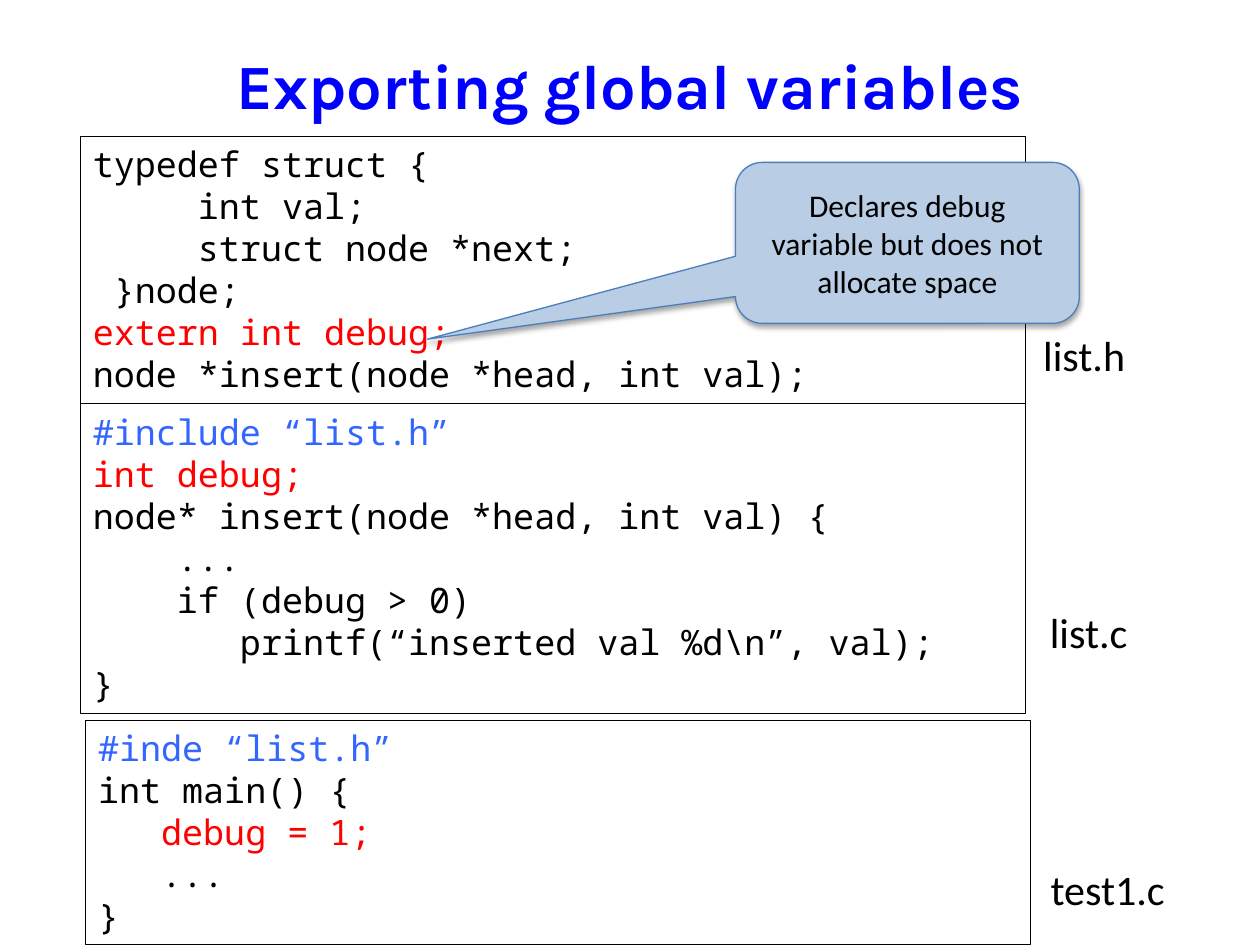
import dataclasses

import lxml.etree
import pptx
import pptx.dml.color
import pptx.enum.shapes
import pptx.enum.text
import pptx.oxml
import pptx.oxml.ns
import pptx.slide
import pptx.text.text
import pptx.util

Pt = pptx.util.Pt
RGBColor = pptx.dml.color.RGBColor
MSO_SHAPE = pptx.enum.shapes.MSO_SHAPE
MSO_ANCHOR = pptx.enum.text.MSO_ANCHOR
MSO_AUTO_SIZE = pptx.enum.text.MSO_AUTO_SIZE
PP_ALIGN = pptx.enum.text.PP_ALIGN

BLACK = RGBColor(0x00, 0x00, 0x00)
RED = RGBColor(0xFF, 0x00, 0x00)
TITLE_BLUE = RGBColor(0x00, 0x00, 0xFF)
INCLUDE_BLUE = RGBColor(0x33, 0x66, 0xFF)
CALLOUT_FILL = RGBColor(0xB9, 0xCD, 0xE5)
CALLOUT_LINE = RGBColor(0x4B, 0x7E, 0xBC)

CODE_FONT = "Noto Sans Mono"
TEXT_FONT = "Calibri"
CODE_WIDTH = 540
LABEL_HEIGHT = 36

CALLOUT_SHADOW = (
    f'<a:effectLst {pptx.oxml.ns.nsdecls("a")}>'
    '<a:outerShdw blurRad="39370" dist="22860" dir="5400000" rotWithShape="0">'
    '<a:srgbClr val="000000"><a:alpha val="35000"/></a:srgbClr>'
    "</a:outerShdw></a:effectLst>"
)


@dataclasses.dataclass(frozen=True)
class CodeLine:
    text: str
    color: RGBColor = BLACK


@dataclasses.dataclass(frozen=True)
class SourceFile:
    name: str
    left: float
    top: float
    height: float
    label_left: float
    label_top: float
    label_width: float
    lines: tuple[CodeLine, ...]


SOURCE_FILES = (
    SourceFile("list.h", 46, 78, 152.6, 589, 185, 62, (
        CodeLine("typedef struct {"),
        CodeLine("     int val;"),
        CodeLine("     struct node *next;"),
        CodeLine(" }node;"),
        CodeLine("extern int debug;", RED),
        CodeLine("node *insert(node *head, int val);"),
    )),
    SourceFile("list.c", 46, 230.8, 177, 592.8, 342.8, 60, (
        CodeLine("#include “list.h”", INCLUDE_BLUE),
        CodeLine("int debug;", RED),
        CodeLine("node* insert(node *head, int val) {"),
        CodeLine("    ..."),
        CodeLine("    if (debug > 0)"),
        CodeLine("       printf(“inserted val %d\\n”, val);"),
        CodeLine("}"),
    )),
    SourceFile("test1.c", 49, 411.8, 128, 593.3, 489.8, 81, (
        CodeLine("#inde “list.h”", INCLUDE_BLUE),
        CodeLine("int main() {"),
        CodeLine("   debug = 1;", RED),
        CodeLine("   ..."),
        CodeLine("}"),
    )),
)


def format_runs(paragraph: pptx.text.text._Paragraph, font: str, size: float,
                color: RGBColor, bold: bool = False) -> None:
    for run in paragraph.runs:
        run.font.name = font
        run.font.size = Pt(size)
        run.font.bold = bold
        run.font.color.rgb = color


def draw_title(slide: pptx.slide.Slide, text: str) -> None:
    title = slide.shapes.title
    title.left, title.top, title.width, title.height = Pt(36), Pt(3), Pt(648), Pt(90)
    title.text_frame.text = text
    title.text_frame.vertical_anchor = MSO_ANCHOR.MIDDLE
    heading = title.text_frame.paragraphs[0]
    heading.alignment = PP_ALIGN.CENTER
    format_runs(heading, "Karla", 36, TITLE_BLUE, bold=True)


def draw_code(slide: pptx.slide.Slide, source: SourceFile) -> None:
    box = slide.shapes.add_shape(MSO_SHAPE.RECTANGLE, Pt(source.left), Pt(source.top),
                                 Pt(CODE_WIDTH), Pt(source.height))
    box.shadow.inherit = False
    box.fill.background()
    box.line.color.rgb = BLACK
    box.line.width = Pt(0.75)
    code = box.text_frame
    code.word_wrap = True
    code.auto_size = MSO_AUTO_SIZE.SHAPE_TO_FIT_TEXT
    code.vertical_anchor = MSO_ANCHOR.TOP
    code.text = "\n".join(line.text for line in source.lines)
    for paragraph, line in zip(code.paragraphs, source.lines):
        paragraph.alignment = PP_ALIGN.LEFT
        format_runs(paragraph, CODE_FONT, 20, line.color)


def draw_file_name(slide: pptx.slide.Slide, source: SourceFile) -> None:
    label = slide.shapes.add_textbox(Pt(source.label_left), Pt(source.label_top),
                                     Pt(source.label_width), Pt(LABEL_HEIGHT))
    label.text_frame.word_wrap = False
    label.text_frame.auto_size = MSO_AUTO_SIZE.SHAPE_TO_FIT_TEXT
    label.text_frame.text = source.name
    format_runs(label.text_frame.paragraphs[0], TEXT_FONT, 24, BLACK)


def draw_callout(slide: pptx.slide.Slide, text: str) -> None:
    callout = slide.shapes.add_shape(MSO_SHAPE.ROUNDED_RECTANGULAR_CALLOUT,
                                     Pt(420.3), Pt(92.8), Pt(196.5), Pt(92))
    for index, value in enumerate((-1.396, 0.598, 0.167)):
        callout.adjustments[index] = value
    callout.fill.solid()
    callout.fill.fore_color.rgb = CALLOUT_FILL
    callout.line.color.rgb = CALLOUT_LINE
    callout.line.width = Pt(0.75)
    properties: lxml.etree._Element = callout._element.spPr
    properties.append(pptx.oxml.parse_xml(CALLOUT_SHADOW))
    note = callout.text_frame
    note.word_wrap = True
    note.vertical_anchor = MSO_ANCHOR.MIDDLE
    note.text = text
    note.paragraphs[0].alignment = PP_ALIGN.CENTER
    format_runs(note.paragraphs[0], TEXT_FONT, 18, BLACK)


def main() -> None:
    presentation = pptx.Presentation()
    presentation.slide_width, presentation.slide_height = Pt(720), Pt(540)
    slide = presentation.slides.add_slide(presentation.slide_layouts.get_by_name("Title Only"))

    draw_title(slide, "Exporting global variables")

    # Code listings, then the file names beside them
    for source in SOURCE_FILES:
        draw_code(slide, source)
    for source in SOURCE_FILES:
        draw_file_name(slide, source)

    # Remark on the extern declaration
    draw_callout(slide, "Declares debug variable but does not allocate space")

    presentation.save("out.pptx")


if __name__ == "__main__":
    main()
